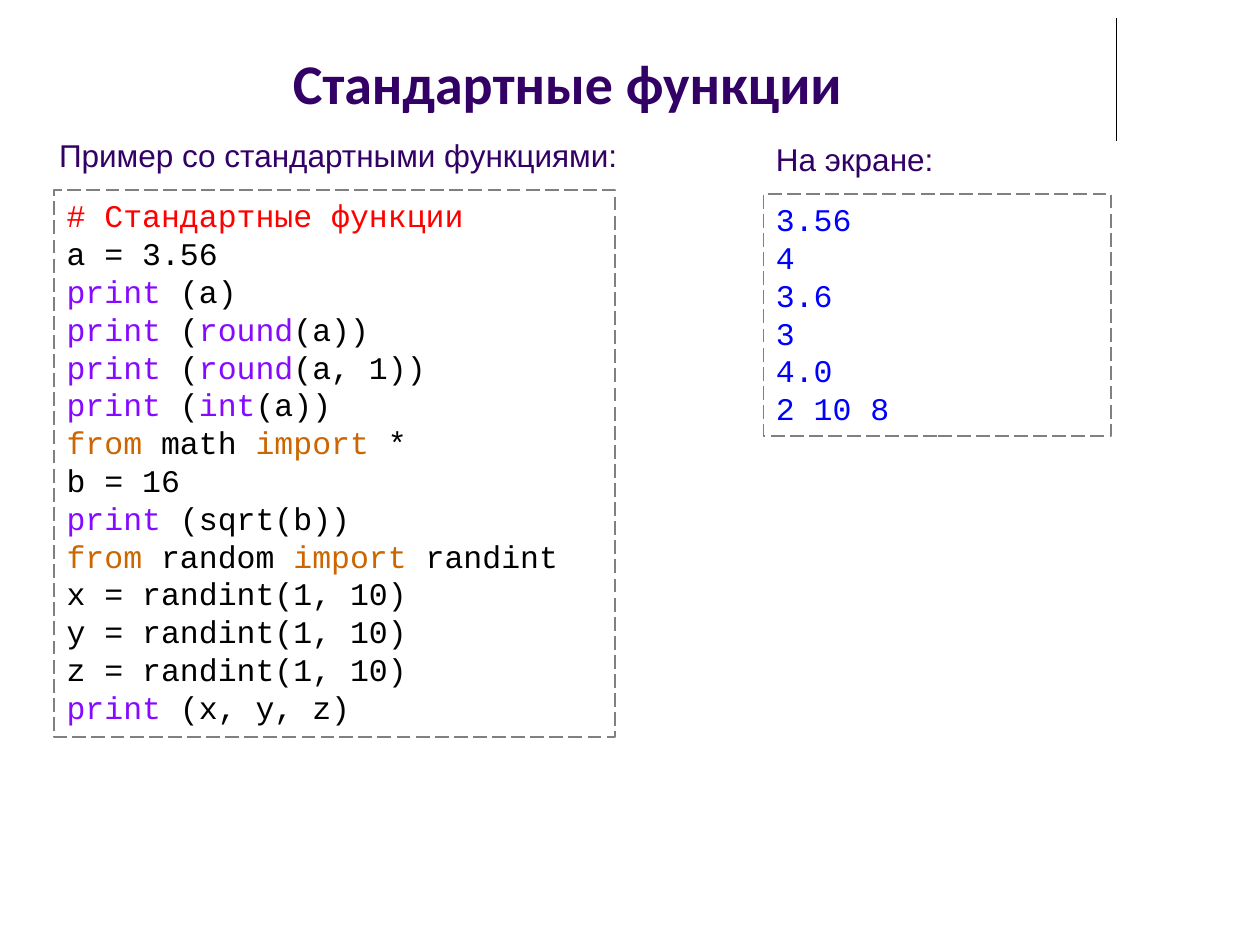
"""Build the slide on standard Python functions with its sample code and output."""
from dataclasses import dataclass
from itertools import groupby
from typing import Callable

from pptx import Presentation
from pptx.dml.color import RGBColor
from pptx.enum.dml import MSO_LINE_DASH_STYLE as Dash
from pptx.enum.shapes import MSO_CONNECTOR as Connector, MSO_SHAPE as Shape
from pptx.enum.text import MSO_ANCHOR as Anchor, MSO_AUTO_SIZE as AutoSize, PP_ALIGN as Align
from pptx.oxml.ns import qn
from pptx.util import Inches, Pt
from lxml.etree import SubElement

PURPLE, BLACK, RED, BLUE, GREY = "330066", "000000", "FF0000", "0000FF", "808080"
WORD_COLOURS = {
    **dict.fromkeys(("print", "round", "int"), "850AFF"),
    **dict.fromkeys(("from", "import"), "CC6600"),
}
Pieces = list[tuple[str, str]]

PROGRAM = """# Стандартные функции
a = 3.56
print (a)
print (round(a))
print (round(a, 1))
print (int(a))
from math import *
b = 16
print (sqrt(b))
from random import randint
x = randint(1, 10)
y = randint(1, 10)
z = randint(1, 10)
print (x, y, z)"""

OUTPUT = """3.56
4
3.6
3
4.0
2 10 8"""


@dataclass(frozen=True)
class Box:
    left: float
    top: float
    width: float
    height: float

    def lengths(self) -> tuple:
        return tuple(map(Inches, (self.left, self.top, self.width, self.height)))


@dataclass(frozen=True)
class Panel:
    caption: str
    caption_box: Box
    listing: str
    listing_box: Box
    colouring: Callable[[str], Pieces]


def rgb(value: str) -> RGBColor:
    return RGBColor.from_string(value)


def colour_code(line: str) -> Pieces:
    if line.startswith("#"):
        return [(line, RED)]
    words = ("".join(group) for _, group in groupby(line, str.isalpha))
    coloured = ((word, WORD_COLOURS.get(word, BLACK)) for word in words)
    return [
        ("".join(word for word, _ in group), colour)
        for colour, group in groupby(coloured, lambda piece: piece[1])
    ]


def colour_output(line: str) -> Pieces:
    return [(line, BLUE)]


def set_font(paragraph, name: str, size: float) -> None:
    paragraph.font.name = name
    paragraph.font.size = Pt(size)


def add_listing(shapes, panel: Panel) -> None:
    frame = shapes.add_shape(Shape.RECTANGLE, *panel.listing_box.lengths())
    frame.shadow.inherit = False
    frame.fill.background()
    frame.line.color.rgb = rgb(GREY)
    frame.line.width = Pt(1)
    frame.line.dash_style = Dash.LONG_DASH
    text = frame.text_frame
    text.word_wrap = True
    text.vertical_anchor = Anchor.TOP
    for index, line in enumerate(panel.listing.splitlines()):
        paragraph = text.add_paragraph() if index else text.paragraphs[0]
        paragraph.alignment = Align.LEFT
        set_font(paragraph, "Courier New", 18)
        for piece, colour in panel.colouring(line):
            run = paragraph.add_run()
            run.text = piece
            run.font.color.rgb = rgb(colour)


def add_caption(shapes, panel: Panel) -> None:
    text = shapes.add_textbox(*panel.caption_box.lengths()).text_frame
    text.word_wrap = True
    text.text = panel.caption
    set_font(text.paragraphs[0], "Arial", 18)
    text.paragraphs[0].font.color.rgb = rgb(PURPLE)


def add_panel(slide, panel: Panel) -> None:
    group = slide.shapes.add_group_shape()
    add_caption(group.shapes, panel)
    add_listing(group.shapes, panel)


def add_divider(slide) -> None:
    divider = slide.shapes.add_connector(
        Connector.STRAIGHT, Inches(8.86), Inches(0.14), Inches(8.86), Inches(1.12)
    )
    divider.line.color.rgb = rgb(BLACK)
    divider.line.width = Pt(0.75)
    SubElement(divider.line._get_or_add_ln().getparent(), qn("a:effectLst"))


def set_title(slide, title: str) -> None:
    heading = slide.shapes.title
    heading.left, heading.top, heading.width, heading.height = Box(0.43, 0.21, 8.15, 0.76).lengths()
    text = heading.text_frame
    text.text = title
    text.auto_size = AutoSize.NONE
    text.vertical_anchor = Anchor.BOTTOM
    paragraph = text.paragraphs[0]
    paragraph.alignment = Align.CENTER
    set_font(paragraph, "Calibri", 32)
    paragraph.font.bold = True
    paragraph.font.color.rgb = rgb(PURPLE)


PANELS = (
    Panel("Пример со стандартными функциями:", Box(0.37, 1.03, 4.75, 0.4),
          PROGRAM, Box(0.43, 1.51, 4.45, 4.34), colour_code),
    Panel("На экране:", Box(6.06, 1.06, 1.48, 0.4),
          OUTPUT, Box(6.06, 1.54, 2.76, 1.92), colour_output),
)


def main() -> None:
    deck = Presentation()
    deck.slide_width, deck.slide_height = Inches(10), Inches(7.5)
    slide = deck.slides.add_slide(deck.slide_layouts[5])
    add_divider(slide)
    set_title(slide, "Стандартные функции")
    for panel in PANELS:
        add_panel(slide, panel)
    deck.save("out.pptx")


if __name__ == "__main__":
    main()
